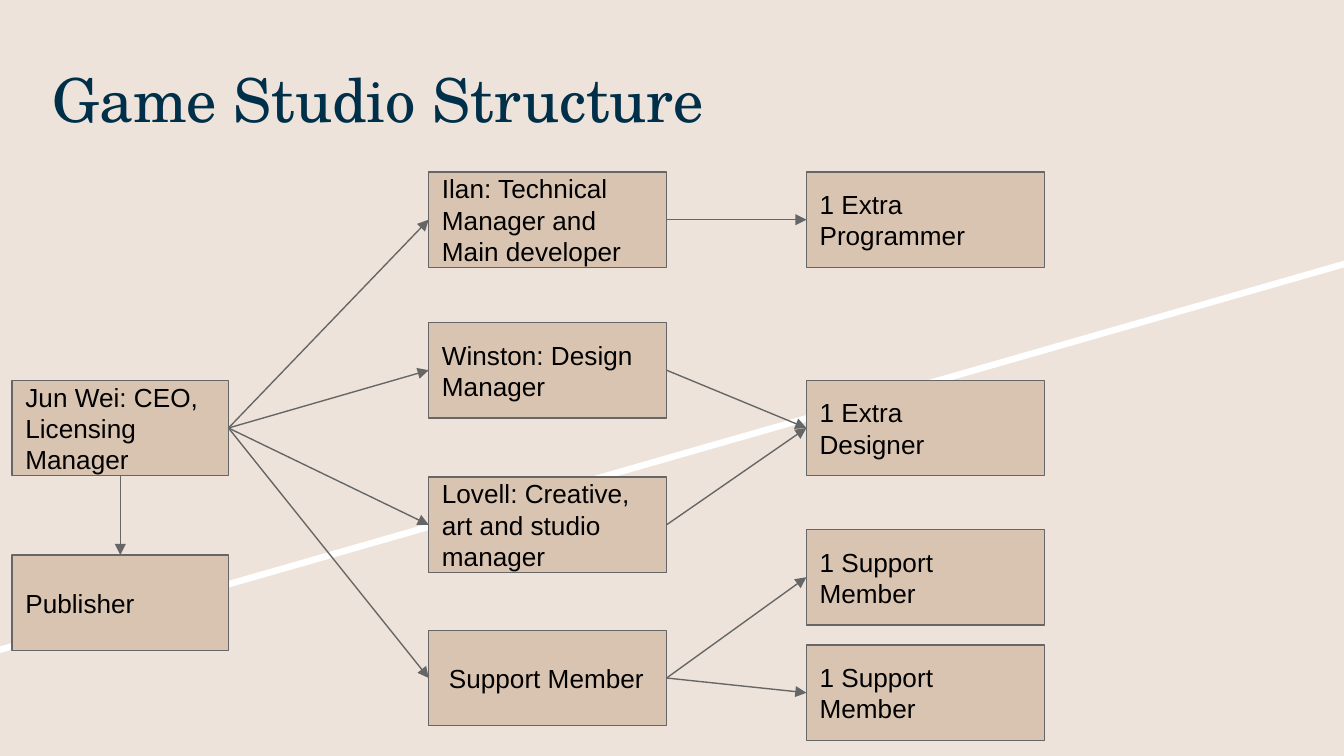
import pptx
import pptx.dml.color
import pptx.enum.shapes
import pptx.enum.text
import pptx.oxml.ns
import pptx.util
from lxml import etree

Inches = pptx.util.Inches
Pt = pptx.util.Pt

TITLE = "Game Studio Structure"
BACKGROUND, BAND, NAVY = "EDE3DA", "FFFFFF", "002F4A"
TAN, GRAY, BLACK = "D9C4B1", "666666", "000000"

BOX_HEIGHT = 0.71
COLUMNS = {"lead": (0.09, 1.61), "manager": (3.19, 1.77), "extra": (6, 1.77)}
ROLES = {
    "ceo": ("lead", 2.83, "Jun Wei: CEO, Licensing Manager"),
    "publisher": ("lead", 4.13, "Publisher"),
    "technical": ("manager", 1.28, "Ilan: Technical Manager and Main developer"),
    "design": ("manager", 2.4, "Winston: Design Manager"),
    "creative": ("manager", 3.55, "Lovell: Creative, art and studio manager"),
    "support": ("manager", 4.69, "Support Member"),
    "programmer": ("extra", 1.28, "1 Extra Programmer"),
    "designer": ("extra", 2.83, "1 Extra\vDesigner"),
    "support_one": ("extra", 3.94, "1 Support Member"),
    "support_two": ("extra", 4.8, "1 Support Member"),
}
LEFT_INDENTS = {"support": 0.15}
REPORTS = [
    ("ceo", "technical"), ("ceo", "design"), ("ceo", "creative"),
    ("ceo", "support"), ("ceo", "publisher"),
    ("technical", "programmer"), ("design", "designer"),
    ("creative", "designer"), ("support", "support_one"),
    ("support", "support_two"),
]
BAND_POINTS = [(0, 4.81), (10, 1.94), (10, 1.99), (0, 4.86)]
TOP, LEFT, BOTTOM, RIGHT = range(4)


def color(value):
    return pptx.dml.color.RGBColor.from_string(value)


def paint(fill, value):
    fill.solid()
    fill.fore_color.rgb = color(value)


def write(box, text, font, size, value, anchor, indent=0.1):
    frame = box.text_frame
    frame.word_wrap = True
    frame.auto_size = pptx.enum.text.MSO_AUTO_SIZE.NONE
    frame.vertical_anchor = anchor
    frame.margin_left = Inches(indent)
    frame.margin_right = frame.margin_top = frame.margin_bottom = Inches(0.1)
    para = frame.paragraphs[0]
    para.text = text
    para.alignment = pptx.enum.text.PP_ALIGN.LEFT
    para.font.name = font
    para.font.size = Pt(size)
    para.font.color.rgb = color(value)


def add_band(page):
    points = [(Inches(x), Inches(y)) for x, y in BAND_POINTS]
    builder = page.shapes.build_freeform(*points[0])
    builder.add_line_segments(points[1:], close=True)
    band = builder.convert_to_shape()
    band.shadow.inherit = False
    paint(band.fill, BAND)
    band.line.fill.background()


def add_role(page, name):
    column, top, text = ROLES[name]
    left, width = COLUMNS[column]
    box = page.shapes.add_shape(
        pptx.enum.shapes.MSO_SHAPE.RECTANGLE,
        Inches(left), Inches(top), Inches(width), Inches(BOX_HEIGHT))
    box.shadow.inherit = False
    paint(box.fill, TAN)
    box.line.color.rgb = color(GRAY)
    box.line.width = Pt(0.75)
    write(box, text, "Arial", 14, BLACK, pptx.enum.text.MSO_ANCHOR.MIDDLE,
          LEFT_INDENTS.get(name, 0.1))
    return box


def add_arrow(page, boxes, source, target):
    same_column = ROLES[source][0] == ROLES[target][0]
    start, end = (BOTTOM, TOP) if same_column else (RIGHT, LEFT)
    arrow = page.shapes.add_connector(
        pptx.enum.shapes.MSO_CONNECTOR.STRAIGHT, 0, 0, 0, 0)
    arrow.begin_connect(boxes[source], start)
    arrow.end_connect(boxes[target], end)
    arrow.line.color.rgb = color(GRAY)
    arrow.line.width = Pt(0.75)
    qn = pptx.oxml.ns.qn
    properties = arrow.element.spPr
    etree.SubElement(properties.find(qn("a:ln")), qn("a:tailEnd"), type="triangle")
    etree.SubElement(properties, qn("a:effectLst"))


def main():
    deck = pptx.Presentation()
    deck.slide_width = Inches(10)
    deck.slide_height = deck.slide_width * 9 // 16
    page = deck.slides.add_slide(deck.slide_layouts[5])
    paint(page.background.fill, BACKGROUND)
    add_band(page)

    title = page.shapes.title
    title.left, title.top = Inches(0.29), Inches(0.36)
    title.width, title.height = Inches(9.32), Inches(0.55)
    write(title, TITLE, "TeX Gyre Schola", 32.4, NAVY,
          pptx.enum.text.MSO_ANCHOR.TOP)

    boxes = {name: add_role(page, name) for name in ROLES}
    for source, target in REPORTS:
        add_arrow(page, boxes, source, target)
    deck.save("out.pptx")


if __name__ == "__main__":
    main()
